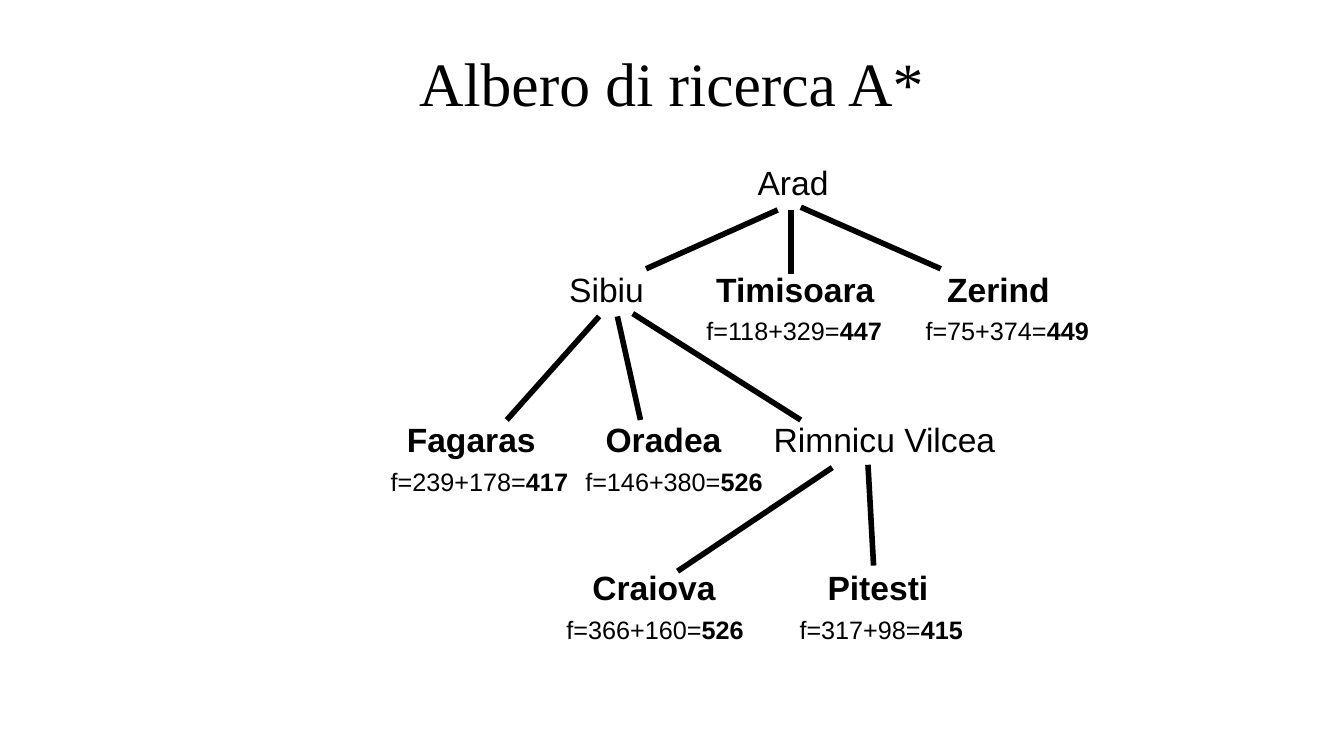
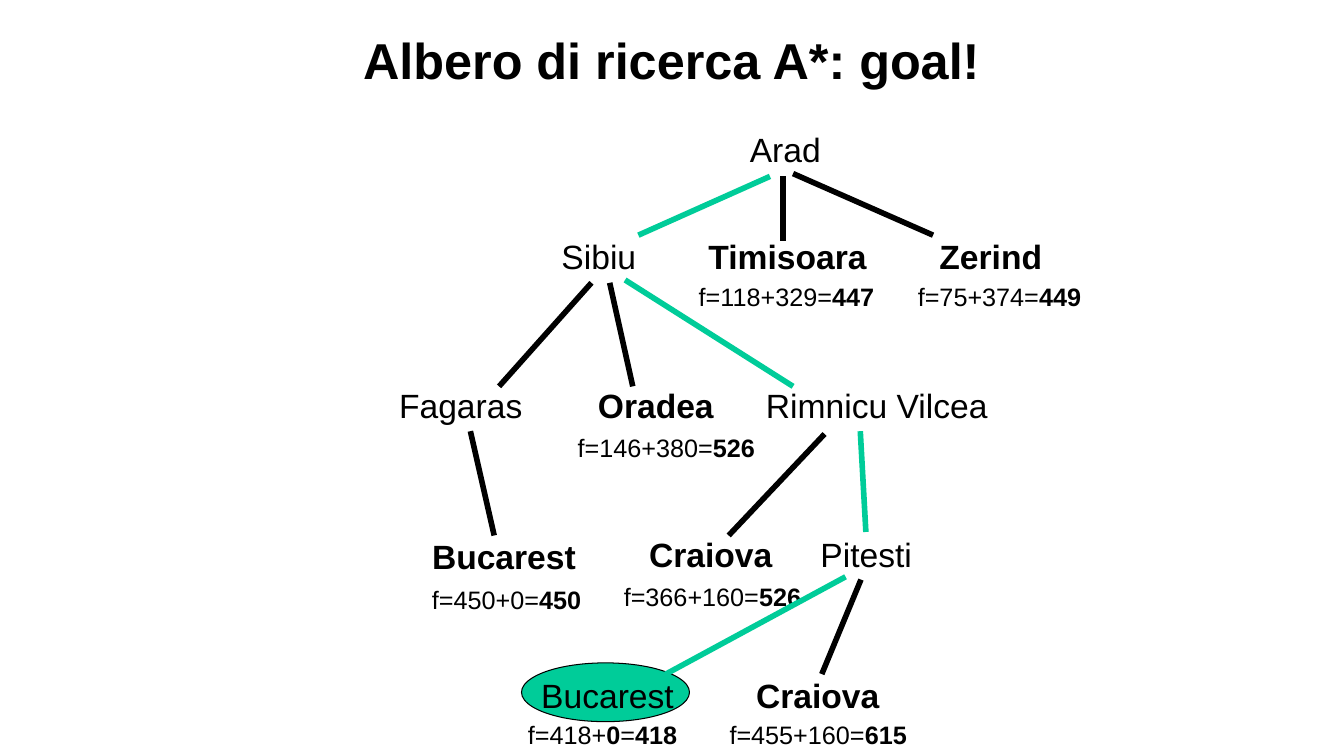
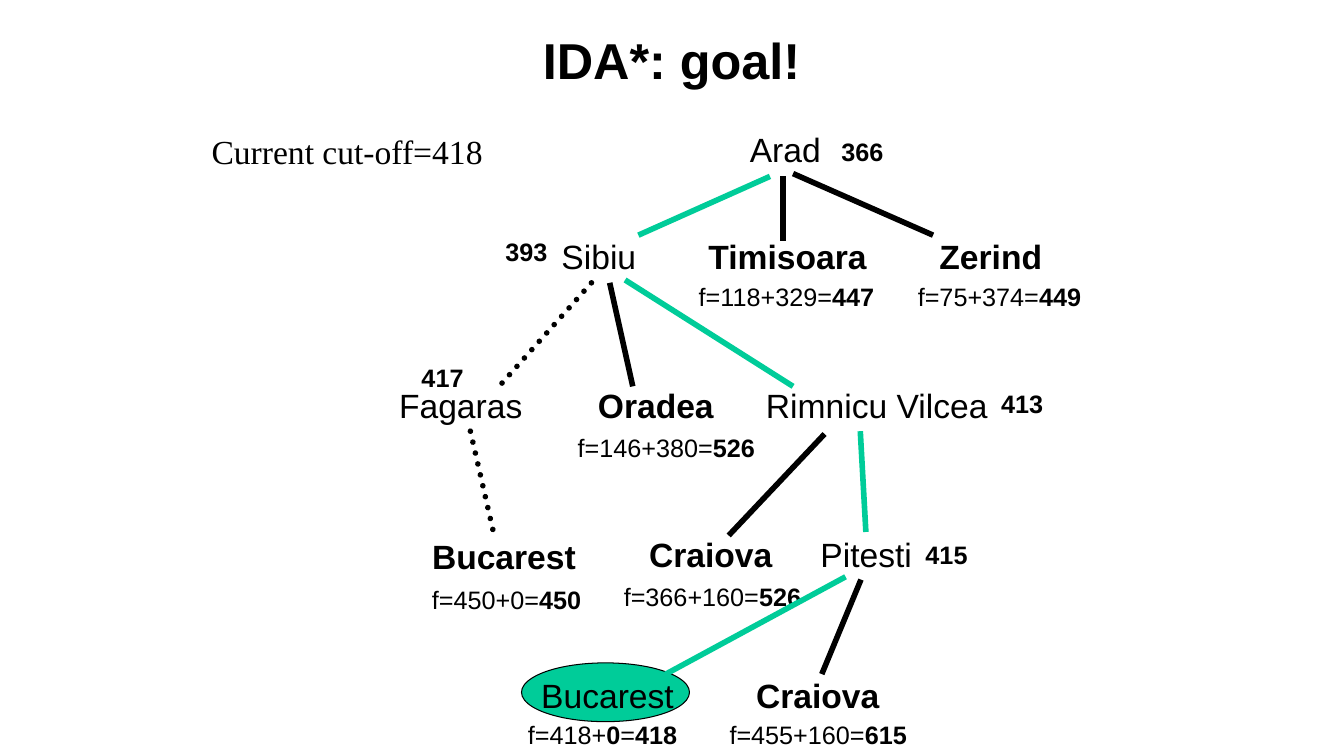
from dataclasses import dataclass
from itertools import pairwise

from lxml import etree
from pptx import Presentation
from pptx.dml.color import RGBColor
from pptx.enum.dml import MSO_LINE
from pptx.enum.shapes import MSO_CONNECTOR, MSO_SHAPE
from pptx.enum.text import MSO_ANCHOR, MSO_AUTO_SIZE, PP_ALIGN
from pptx.oxml.ns import qn
from pptx.slide import Slide
from pptx.util import Pt

STRAIGHT = MSO_CONNECTOR.STRAIGHT
ELLIPSE = MSO_SHAPE.OVAL
DOTTED = MSO_LINE.ROUND_DOT
MIDDLE = MSO_ANCHOR.MIDDLE
CENTER = PP_ALIGN.CENTER
NO_FIT, GROW = MSO_AUTO_SIZE.NONE, MSO_AUTO_SIZE.SHAPE_TO_FIT_TEXT
TITLE_ONLY = 5


@dataclass(frozen=True)
class Theme:
    ink: RGBColor = RGBColor(0x00, 0x00, 0x00)
    accent: RGBColor = RGBColor(0x00, 0xCC, 0x99)
    sans: str = "Arial"
    serif: str = "Times New Roman"
    serif_title: float = 44
    title: float = 36
    node: float = 24
    cost: float = 18
    edge: float = 4
    outline: float = 0.75
    spacing: float = 0.9


THEME = Theme()


@dataclass(frozen=True)
class Label:
    """Text whose pieces alternate between plain and bold, plain first."""
    x: float
    y: float
    w: float
    h: float
    size: float
    pieces: tuple[str, ...]


@dataclass(frozen=True)
class Edge:
    parent: str
    child: str
    x1: float
    y1: float
    x2: float
    y2: float


@dataclass(frozen=True)
class Tree:
    labels: list[Label]
    edges: list[Edge]
    dx: float = 0
    dy: float = 0
    solution: tuple[str, ...] = ()
    cut: str = ""


def node(name: str, x: float, y: float, w: float) -> Label:
    return Label(x, y, w, 33, THEME.node, (name,))


def leaf(name: str, x: float, y: float, w: float) -> Label:
    return Label(x, y, w, 33, THEME.node, ("", name))


def cost(x: float, y: float, w: float, *pieces: str) -> Label:
    return Label(x, y, w, 26.5, THEME.cost, pieces)


def value(number: str, x: float, y: float) -> Label:
    return cost(x, y, 44.5, "", number)


ROW1, ROW2, ROW3, ROW4, ROW5 = 91.5, 168, 275, 381, 481.5
COST2, COST3, COST4, COST5 = 200, 308, 414, 512.5

TOP_LABELS = [
    node("Arad", 528.5, ROW1, 65.5),
    node("Sibiu", 394, ROW2, 68.5),
    leaf("Timisoara", 499, ROW2, 128),
    leaf("Zerind", 664, ROW2, 88.5),
    leaf("Oradea", 420, ROW3, 98),
    node("Rimnicu Vilcea", 540, ROW3, 174),
    cost(492, COST2, 140.5, "f=118+329=", "447"),
    cost(648.5, COST2, 132, "f=75+374=", "449"),
    cost(405.5, COST3, 142, "f=146+380=", "526"),
]
TOP_EDGES = [
    Edge("Arad", "Sibiu", 550, 126, 456, 168),
    Edge("Arad", "Timisoara", 559.5, 126, 559.5, 172),
    Edge("Arad", "Zerind", 566.5, 124, 666.5, 168),
    Edge("Sibiu", "Fagaras", 422.5, 202, 356.5, 276),
    Edge("Sibiu", "Oradea", 435.5, 202, 452, 276),
    Edge("Sibiu", "Rimnicu Vilcea", 446.5, 200, 566.5, 276),
    Edge("Rimnicu Vilcea", "Pitesti", 614.5, 308, 618.5, 380),
]

OPEN_LABELS = TOP_LABELS + [
    leaf("Fagaras", 278, ROW3, 107),
    leaf("Craiova", 410.5, ROW4, 103.5),
    leaf("Pitesti", 578.5, ROW4, 87),
    cost(266.5, COST3, 142, "f=239+178=", "417"),
    cost(392, COST4, 142, "f=366+160=", "526"),
    cost(558.5, COST4, 132, "f=317+98=", "415"),
]
OPEN_EDGES = TOP_EDGES + [Edge("Rimnicu Vilcea", "Craiova", 589, 310, 478.5, 384)]

GOAL_LABELS = TOP_LABELS + [
    node("Fagaras", 278, ROW3, 103.5),
    leaf("Bucarest", 301.5, 382.5, 118),
    leaf("Craiova", 456.5, ROW4, 103.5),
    node("Pitesti", 579, ROW4, 80.5),
    node("Bucarest", 379.5, ROW5, 110),
    leaf("Craiova", 533, ROW5, 103.5),
    cost(301.5, 416, 121.5, "f=450+0=", "450"),
    cost(438.5, COST4, 142, "f=366+160=", "526"),
    cost(370, COST5, 121.5, "f=418+", "0", "=", "418"),
    cost(514, COST5, 142, "f=455+160=", "615"),
]
GOAL_EDGES = TOP_EDGES + [
    Edge("Rimnicu Vilcea", "Craiova", 589, 310, 520.5, 382.5),
    Edge("Fagaras", "Bucarest", 336, 308, 353, 382.5),
    Edge("Pitesti", "Bucarest", 604, 412, 471, 484),
    Edge("Pitesti", "Craiova", 615, 414, 587, 481.5),
]
F_VALUES = [
    value("366", 594, 96),
    value("393", 354, 168),
    value("413", 708, 276),
    value("417", 294, 258),
    value("415", 654, 384),
]
SOLUTION = ("Arad", "Sibiu", "Rimnicu Vilcea", "Pitesti", "Bucarest")


def add_run(p, text: str, size: float, font: str, bold: bool = False) -> None:
    r = p.add_run()
    r.text = text
    r.font.size = Pt(size)
    r.font.name = font
    r.font.bold = bold
    r.font.color.rgb = THEME.ink


def add_slide(prs, title: str, serif: bool = False) -> Slide:
    slide = prs.slides.add_slide(prs.slide_layouts[TITLE_ONLY])
    sp = slide.shapes.title
    sp.left, sp.top = Pt(219.5), Pt(13.5 if serif else 0)
    sp.width, sp.height = Pt(520.5), Pt(90)
    tf = sp.text_frame
    tf.auto_size = NO_FIT
    tf.vertical_anchor = MIDDLE
    p = tf.paragraphs[0]
    p.alignment = CENTER
    if serif:
        add_run(p, title, THEME.serif_title, THEME.serif)
    else:
        p.line_spacing = THEME.spacing
        add_run(p, title, THEME.title, THEME.sans, True)
    return slide


def add_label(slide: Slide, label: Label, dx: float, dy: float) -> None:
    sp = slide.shapes.add_textbox(
        Pt(label.x + dx), Pt(label.y + dy), Pt(label.w), Pt(label.h))
    tf = sp.text_frame
    tf.word_wrap = False
    tf.auto_size = GROW
    p = tf.paragraphs[0]
    p.line_spacing = THEME.spacing
    for i, piece in enumerate(label.pieces):
        if piece:
            add_run(p, piece, label.size, THEME.sans, i % 2 == 1)


def add_edge(slide: Slide, edge: Edge, tree: Tree) -> None:
    line = slide.shapes.add_connector(
        STRAIGHT, Pt(edge.x1 + tree.dx), Pt(edge.y1 + tree.dy),
        Pt(edge.x2 + tree.dx), Pt(edge.y2 + tree.dy))
    on_path = (edge.parent, edge.child) in pairwise(tree.solution)
    line.line.color.rgb = THEME.accent if on_path else THEME.ink
    line.line.width = Pt(THEME.edge)
    props = line._element.spPr
    if tree.cut in (edge.parent, edge.child):
        line.line.dash_style = DOTTED
        props.get_or_add_ln().set("cap", "rnd")
    etree.SubElement(props, qn("a:effectLst"))


def add_tree(slide: Slide, tree: Tree) -> None:
    for label in tree.labels:
        add_label(slide, label, tree.dx, tree.dy)
    for edge in tree.edges:
        add_edge(slide, edge, tree)


def add_goal_marker(slide: Slide) -> None:
    sp = slide.shapes.add_shape(ELLIPSE, Pt(372.5), Pt(473.5), Pt(120), Pt(42))
    sp.shadow.inherit = False
    sp.fill.solid()
    sp.fill.fore_color.rgb = THEME.accent
    sp.line.color.rgb = THEME.ink
    sp.line.width = Pt(THEME.outline)


def add_cutoff(slide: Slide, text: str) -> None:
    sp = slide.shapes.add_textbox(Pt(144), Pt(90), Pt(228.5), Pt(36))
    tf = sp.text_frame
    tf.word_wrap = True
    tf.auto_size = GROW
    p = tf.paragraphs[0]
    p.space_before = Pt(15)
    add_run(p, text, THEME.node, THEME.serif)


def main() -> None:
    prs = Presentation()
    prs.slide_width, prs.slide_height = Pt(960), Pt(540)

    slide = add_slide(prs, "Albero di ricerca A*", serif=True)
    add_tree(slide, Tree(OPEN_LABELS, OPEN_EDGES, dx=5.5, dy=24))

    slide = add_slide(prs, "Albero di ricerca A*: goal!")
    add_goal_marker(slide)
    add_tree(slide, Tree(GOAL_LABELS, GOAL_EDGES, solution=SOLUTION))

    slide = add_slide(prs, "IDA*: goal!")
    add_goal_marker(slide)
    add_tree(slide, Tree(GOAL_LABELS + F_VALUES, GOAL_EDGES,
                         solution=SOLUTION, cut="Fagaras"))
    add_cutoff(slide, "Current cut-off=418")

    prs.save("out.pptx")


if __name__ == "__main__":
    main()
